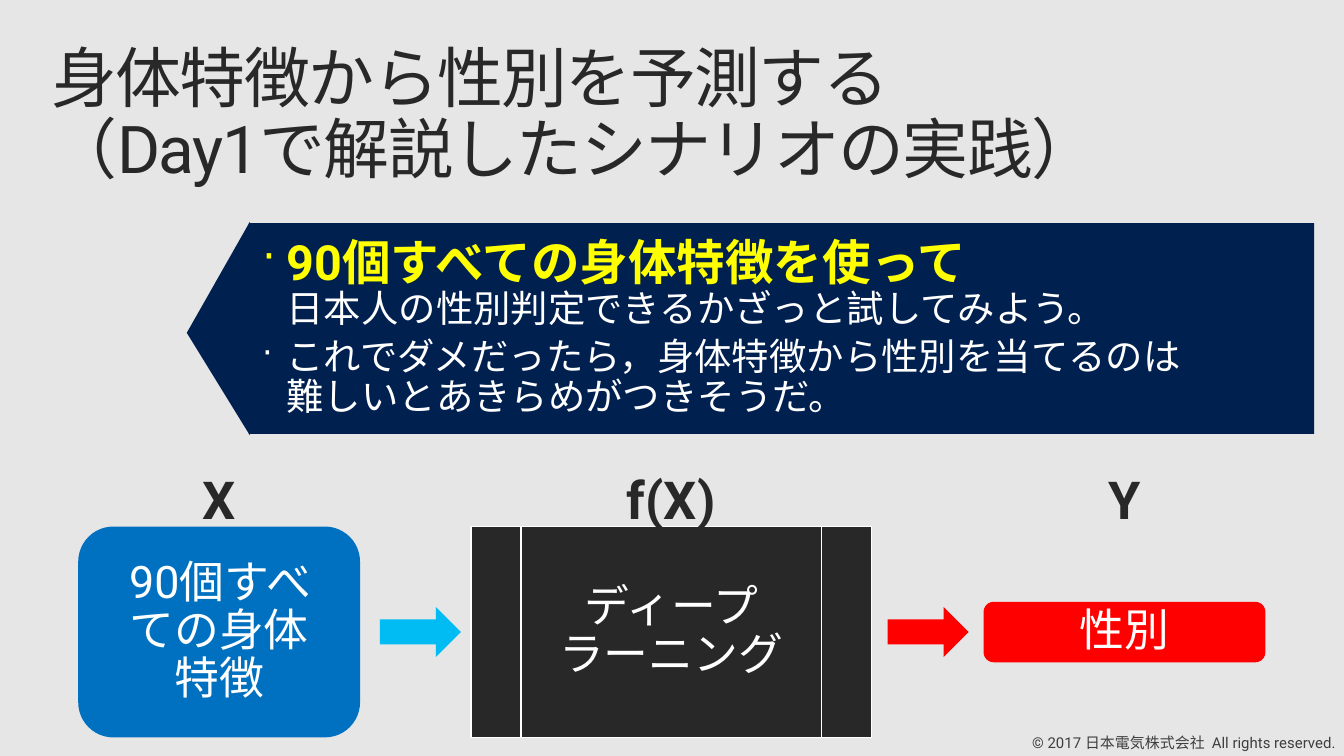
import pptx
import pptx.util
import pptx.dml.color
import pptx.enum.shapes
import pptx.enum.text
import pptx.oxml.ns
from lxml import etree

Pt = pptx.util.Pt
Color = pptx.dml.color.RGBColor
Shape = pptx.enum.shapes.MSO_SHAPE
Align = pptx.enum.text.PP_ALIGN
Anchor = pptx.enum.text.MSO_ANCHOR
AutoSize = pptx.enum.text.MSO_AUTO_SIZE

GRAY = Color(0xE6, 0xE6, 0xE6)
INK = Color(0x28, 0x28, 0x28)
FOOTER_INK = Color(0x3E, 0x3E, 0x3E)
NAVY = Color(0x00, 0x20, 0x50)
BLUE = Color(0x00, 0x70, 0xC0)
CYAN = Color(0x00, 0xBC, 0xF2)
RED = Color(0xFF, 0x00, 0x00)
YELLOW = Color(0xFF, 0xFF, 0x00)
WHITE = Color(0xFF, 0xFF, 0xFF)

FONT = "Roboto"
TIGHT = 0.9
WIDE_INSETS = (14.4, 11.52)


class SlideBuilder:
    def __init__(self, page):
        self.page = page
        page.background.fill.solid()
        page.background.fill.fore_color.rgb = GRAY

    def style(self, span, size, color, bold=False):
        span.font.name = FONT
        span.font.size = Pt(size)
        span.font.color.rgb = color
        span.font.bold = bold

    def inset(self, frame, across, down):
        frame.margin_left = frame.margin_right = Pt(across)
        frame.margin_top = frame.margin_bottom = Pt(down)

    def set_text(self, frame, text, size, color, bold=False, align=Align.CENTER):
        frame.word_wrap = True
        frame.text = text
        para = frame.paragraphs[0]
        para.alignment = align
        para.line_spacing = TIGHT
        for span in para.runs:
            self.style(span, size, color, bold)

    def title(self, text, left, top, width, height):
        box = self.page.shapes.title
        box.left, box.top, box.width, box.height = map(Pt, (left, top, width, height))
        frame = box.text_frame
        self.set_text(frame, text, 35.3, INK, align=Align.LEFT)
        frame.auto_size = AutoSize.NONE
        frame.vertical_anchor = Anchor.TOP
        self.inset(frame, 11.52, 7.2)
        for span in frame.paragraphs[0].runs:
            span._r.get_or_add_rPr().set("spc", "-80")

    def shape(self, kind, left, top, width, height, fill, text="", line=None):
        box = self.page.shapes.add_shape(kind, *map(Pt, (left, top, width, height)))
        box.shadow.inherit = False
        box.fill.solid()
        box.fill.fore_color.rgb = fill
        if line is None:
            box.line.fill.background()
        else:
            box.line.color.rgb = line
            box.line.width = Pt(0.75)
        if text:
            self.set_text(box.text_frame, text, 24, WHITE)
            box.text_frame.vertical_anchor = Anchor.MIDDLE
            self.inset(box.text_frame, *WIDE_INSETS)
        return box

    def label(self, text, center, top, width, height):
        box = self.page.shapes.add_textbox(*map(Pt, (center - width / 2, top, width, height)))
        frame = box.text_frame
        self.set_text(frame, text, 28, INK, bold=True)
        frame.paragraphs[0].space_after = Pt(6)
        frame.vertical_anchor = Anchor.MIDDLE
        self.inset(frame, *WIDE_INSETS)
        frame.auto_size = AutoSize.SHAPE_TO_FIT_TEXT

    def footer(self, text, left, top, width, height):
        box = self.page.shapes.add_textbox(*map(Pt, (left, top, width, height)))
        self.set_text(box.text_frame, text, 8, FOOTER_INK, align=Align.LEFT)
        box.text_frame.paragraphs[0].line_spacing = 1.0
        box.text_frame.word_wrap = False

    def bullet(self, para):
        properties = para._p.get_or_add_pPr()
        properties.set("marL", str(Pt(13)))
        properties.set("indent", str(Pt(-13)))
        for tag, name, value in (("a:buSzPct", "val", "90000"), ("a:buChar", "char", "·")):
            etree.SubElement(properties, pptx.oxml.ns.qn(tag)).set(name, value)

    def bullets(self, box, items):
        frame = box.text_frame
        frame.word_wrap = True
        frame.vertical_anchor = Anchor.MIDDLE
        for index, item in enumerate(items):
            para = frame.add_paragraph() if index else frame.paragraphs[0]
            para.text = item
            self.bullet(para)
            para.alignment = Align.LEFT
            para.line_spacing = TIGHT
            para.space_before = Pt(4 if index else 0)
            for span in para.runs:
                self.style(span, 20, WHITE)
        self.style(frame.paragraphs[0].runs[0], 26, YELLOW, bold=True)


def main():
    deck = pptx.Presentation()
    deck.slide_width, deck.slide_height = Pt(720), Pt(405)
    slide = SlideBuilder(deck.slides.add_slide(deck.slide_layouts[5]))

    slide.footer("© 2017 日本電気株式会社  All rights reserved.", 545.8, 389.5, 181.4, 17)
    slide.title("身体特徴から性別を予測する\v（Day1で解説したシナリオの実践）", 16, 17, 688, 53)

    callout = slide.shape(Shape.RECTANGLE, 133.4, 119.5, 570.6, 113, NAVY)
    slide.bullets(callout, (
        "90個すべての身体特徴を使って\v日本人の性別判定できるかざっと試してみよう。",
        "これでダメだったら，身体特徴から性別を当てるのは\v難しいとあきらめがつきそうだ。",
    ))
    pointer = slide.shape(Shape.ISOSCELES_TRIANGLE, 59.8, 159.1, 114.4, 33.8, NAVY)
    pointer.adjustments[0] = 0.48
    pointer.rotation = 270

    middle = 338.6
    stages = (
        ("f(X)", 359.6, 83, Shape.FLOWCHART_PREDEFINED_PROCESS, 214.4, 113, INK,
         "ディープラーニング", WHITE),
        ("X", 117.4, 57, Shape.FLOWCHART_ALTERNATE_PROCESS, 151, 113, BLUE,
         "90個すべての身体特徴", None),
        ("Y", 602.4, 83, Shape.FLOWCHART_ALTERNATE_PROCESS, 151, 32.4, RED, "性別", None),
    )
    for name, center, label_width, kind, width, height, fill, text, line in stages:
        slide.shape(kind, center - width / 2, middle - height / 2, width, height, fill, text, line)
        slide.label(name, center, 242, label_width, 54)

    for left, fill in ((203.5, CYAN), (475.5, RED)):
        slide.shape(Shape.RIGHT_ARROW, left, middle - 13.4, 43.4, 26.8, fill)

    deck.save("out.pptx")


if __name__ == "__main__":
    main()
